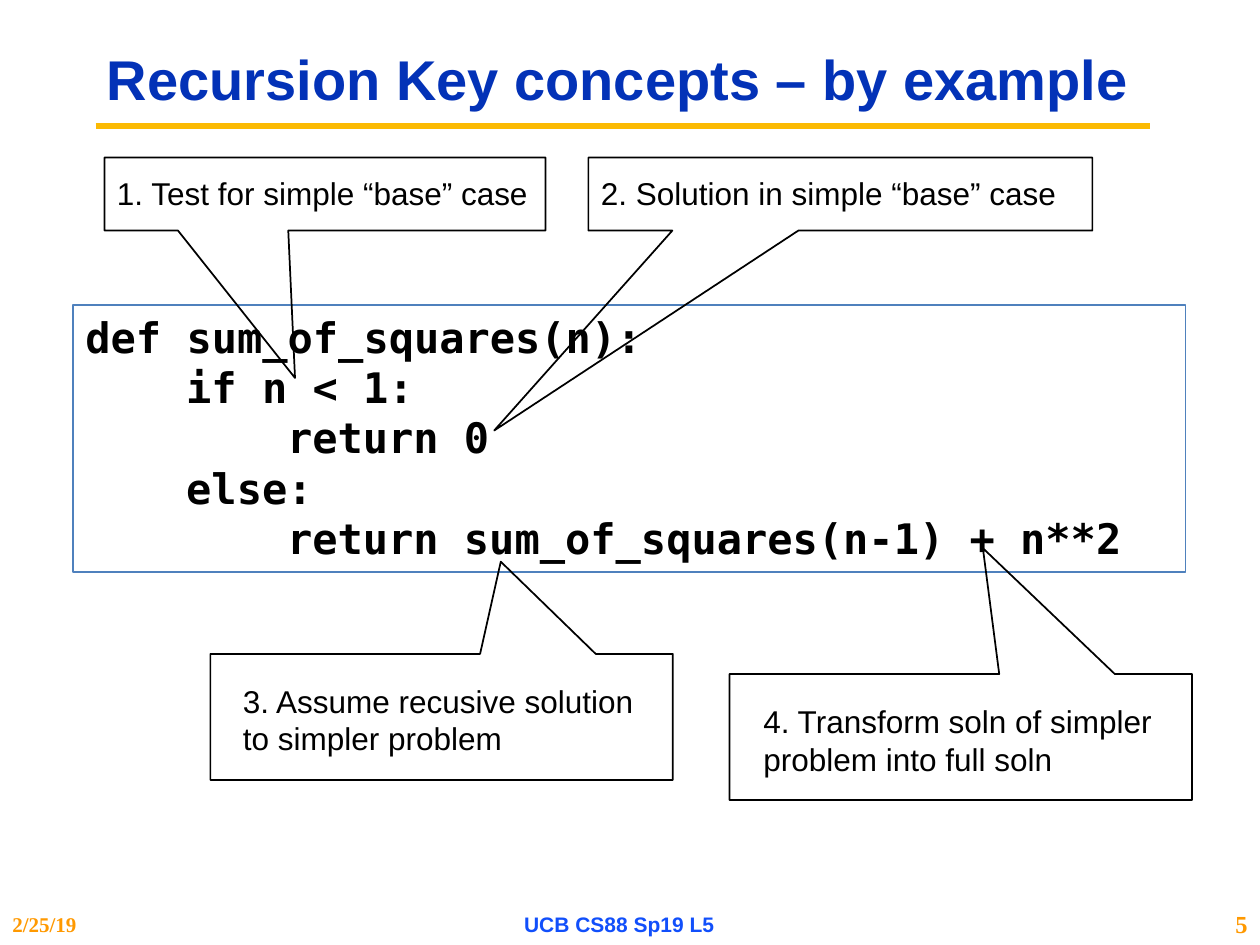
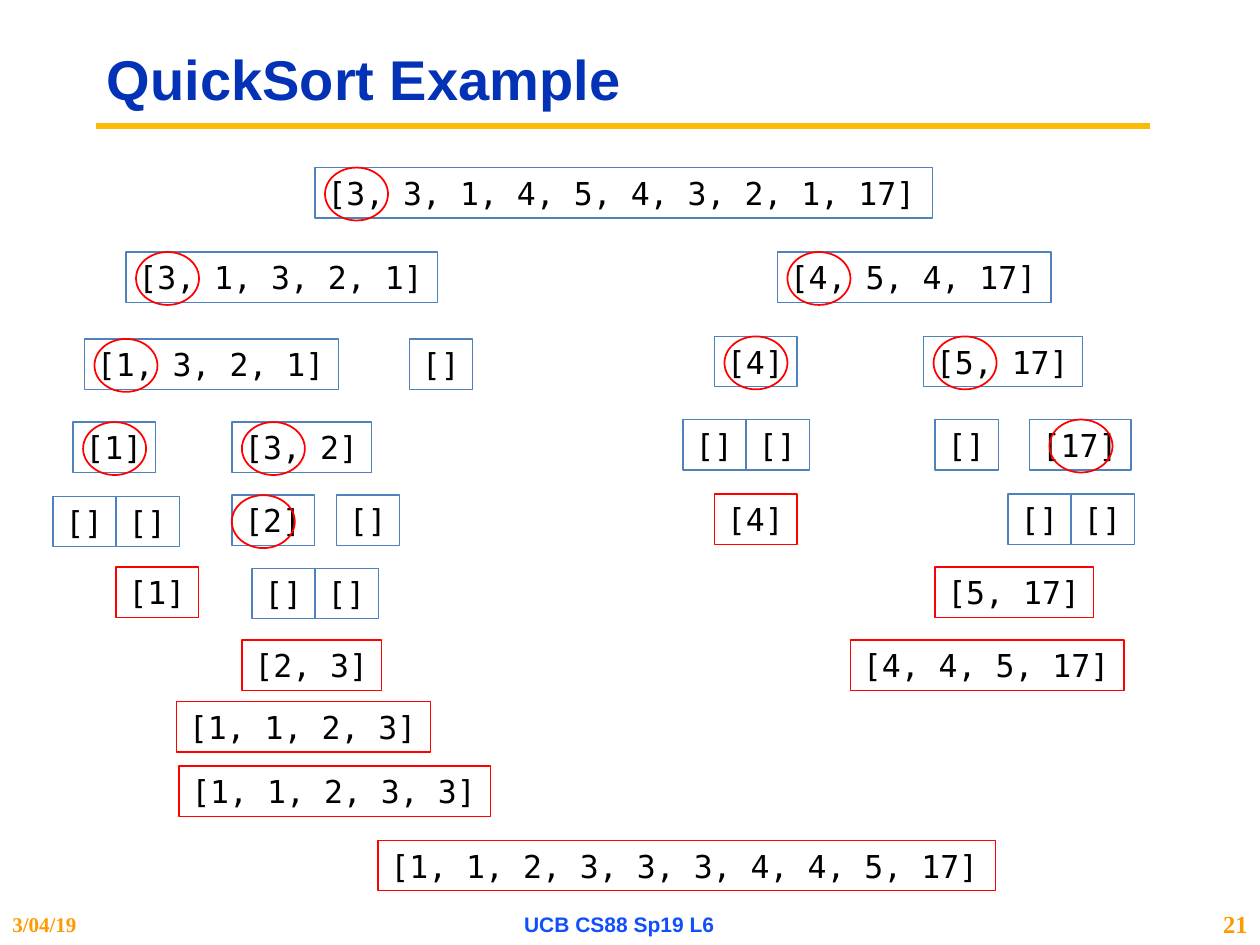
from dataclasses import dataclass

from lxml.etree import SubElement
from pptx import Presentation
from pptx.dml.color import RGBColor
from pptx.enum.shapes import MSO_CONNECTOR, MSO_SHAPE
from pptx.enum.text import MSO_ANCHOR, PP_ALIGN
from pptx.oxml.ns import qn
from pptx.util import Inches, Pt


@dataclass(frozen=True)
class Theme:
    gold: str = "FBBA03"
    steel: str = "4F81BD"
    red: str = "FF0000"
    black: str = "000000"
    # Text styles: font, size, colour, bold
    title: tuple = ("Arial", 32, "0332B7", True)
    course: tuple = ("Arial", 12, "114FFB", True)
    date: tuple = ("Times New Roman", 12, "FF9900", True)
    number: tuple = ("Times New Roman", 14, "FF9900", True)
    note: tuple = ("Arial", 18, "000000", False)
    code: tuple = ("DejaVu Sans Mono", 24, "000000", True)
    values: tuple = ("DejaVu Sans Mono", 18, "000000", False)


theme = Theme()


def write(box, lines, style, align=PP_ALIGN.LEFT, anchor=MSO_ANCHOR.TOP):
    """Fill a box with one paragraph per line and return the paragraphs."""
    font, size, color, bold = style
    frame = box.text_frame
    frame.word_wrap = True
    frame.vertical_anchor = anchor
    for index, line in enumerate(lines):
        para = frame.add_paragraph() if index else frame.paragraphs[0]
        para.alignment = align
        span = para.add_run()
        span.text = line
        span.font.name = font
        span.font.size = Pt(size)
        span.font.bold = bold
        span.font.color.rgb = RGBColor.from_string(color)
    return frame.paragraphs


def add_outline(shapes, kind, place, color, width):
    """Add an unfilled shape at place (left, top, width, height in inches)."""
    shape = shapes.add_shape(kind, *map(Inches, place))
    shape.shadow.inherit = False
    shape.fill.background()
    shape.line.color.rgb = RGBColor.from_string(color)
    shape.line.width = Pt(width)
    return shape


deck = Presentation()
deck.slide_width = Inches(10)
deck.slide_height = Inches(7.5)

# Title, rule and footer shared by every slide
pages = []
for title, date, course, number in [
    ("Recursion Key concepts – by example", "2/25/19", "UCB CS88 Sp19 L5", "5"),
    ("QuickSort Example", "3/04/19", "UCB CS88 Sp19 L6", "21"),
]:
    page = deck.slides.add_slide(deck.slide_layouts[6])
    pages.append(page)
    rule = page.shapes.add_connector(
        MSO_CONNECTOR.STRAIGHT, Inches(0.76), Inches(1), Inches(9.13), Inches(1))
    rule.line.color.rgb = RGBColor.from_string(theme.gold)
    rule.line.width = Pt(3.75)
    SubElement(rule._element.spPr, qn("a:effectLst"))

    for text, place, style, align in [
        (title, (0.75, 0.25, 8.42, 0.81), theme.title, PP_ALIGN.LEFT),
        (date, (0, 7.17, 1.67, 0.33), theme.date, PP_ALIGN.LEFT),
        (course, (3.33, 7.17, 3.17, 0.33), theme.course, PP_ALIGN.CENTER),
        (number, (9.42, 7.17, 0.58, 0.33), theme.number, PP_ALIGN.RIGHT),
    ]:
        box = page.shapes.add_textbox(*map(Inches, place))
        paras = write(box, [text], style, align, MSO_ANCHOR.MIDDLE)
        if style is theme.title:
            paras[0].line_spacing = 0.9

recursion, quicksort = pages

# Recursion: the function, with each line's indent level
code_lines = [
    (0, "def sum_of_squares(n):"),
    (1, "if n < 1:"),
    (2, "return 0"),
    (1, "else:"),
    (2, "return sum_of_squares(n-1) + n**2"),
]
code_indent = 0.8
code_box = add_outline(recursion.shapes, MSO_SHAPE.RECTANGLE,
                       (0.58, 2.42, 8.83, 2.12), theme.steel, 0.75)
code_paras = write(code_box, [line for _, line in code_lines], theme.code)
for para, (level, _) in zip(code_paras, code_lines):
    para._p.get_or_add_pPr().set("marL", str(Inches(level * code_indent)))

# Recursion: callouts, each with its pointer tip and its note
callouts = [
    ("1. Test for simple “base” case",
     (0.83, 1.25, 3.5, 0.58), (-0.068, 2.517), (0.83, 1.33, 3.49, 0.4)),
    ("2. Solution in simple “base” case",
     (4.67, 1.25, 4, 0.58), (-0.687, 3.237), (4.67, 1.33, 3.85, 0.4)),
    ("3. Assume recusive solution to simpler problem",
     (1.67, 5.19, 3.67, 1), (0.128, -1.232), (1.83, 5.36, 3.33, 0.71)),
    ("4. Transform soln of simpler problem into full soln",
     (5.79, 5.35, 3.67, 1), (0.048, -1.499), (5.96, 5.52, 3.33, 0.71)),
]
for text, place, tip, note_place in callouts:
    group = recursion.shapes.add_group_shape()
    callout = add_outline(group.shapes, MSO_SHAPE.RECTANGULAR_CALLOUT,
                          place, theme.black, 1)
    callout.adjustments[0], callout.adjustments[1] = tip
    note = group.shapes.add_textbox(*map(Inches, note_place))
    write(note, [text], theme.note)

# QuickSort: lists being split as (values, left, top, pivot ring's left offset)
ring = 0.08
splits = [
    ("[3, 3, 1, 4, 5, 4, 3, 2, 1, 17]", 2.5, 1.33, ring),
    ("[3, 1, 3, 2, 1]", 1, 2, ring),
    ("[4, 5, 4, 17]", 6.17, 2, ring),
    ("[1, 3, 2, 1]", 0.67, 2.69, ring),
    ("[]", 3.25, 2.69, None),
    ("[4]", 5.67, 2.67, ring),
    ("[5, 17]", 7.33, 2.67, ring),
    ("[1]", 0.58, 3.35, ring),
    ("[3, 2]", 1.84, 3.35, ring),
    ("[]", 7.42, 3.33, None),
    ("[17]", 8.17, 3.33, 0.16),
    ("[2]", 1.84, 3.93, 0),
    ("[]", 2.67, 3.93, None),
]
# Adjoining pairs of empty lists left by a single value
for left, top in [(5.42, 3.33), (0.42, 3.94), (8, 3.92), (2, 4.51)]:
    splits += [("[]", left, top, None), ("[]", left + 0.5, top, None)]

merges = [
    ("[4]", 5.67, 3.92),
    ("[1]", 0.92, 4.5),
    ("[5, 17]", 7.42, 4.5),
    ("[2, 3]", 1.92, 5.08),
    ("[4, 4, 5, 17]", 6.75, 5.08),
    ("[1, 1, 2, 3]", 1.4, 5.57),
    ("[1, 1, 2, 3, 3]", 1.42, 6.08),
    ("[1, 1, 2, 3, 3, 3, 4, 4, 5, 17]", 3, 6.67),
]
boxes = [(*split, theme.steel) for split in splits]
boxes += [(*merge, None, theme.red) for merge in merges]

# Each box is as wide as its monospaced text plus the two insets
character_width = 4.7 / 31
for values, left, top, pivot, color in boxes:
    width = 0.2 + character_width * len(values)
    box = add_outline(quicksort.shapes, MSO_SHAPE.RECTANGLE,
                      (left, top, width, 0.4), color, 0.75)
    write(box, [values], theme.values)
    if pivot is not None:
        add_outline(quicksort.shapes, MSO_SHAPE.OVAL,
                    (left + pivot, top, 0.5, 0.42), theme.red, 1)

deck.save("out.pptx")
